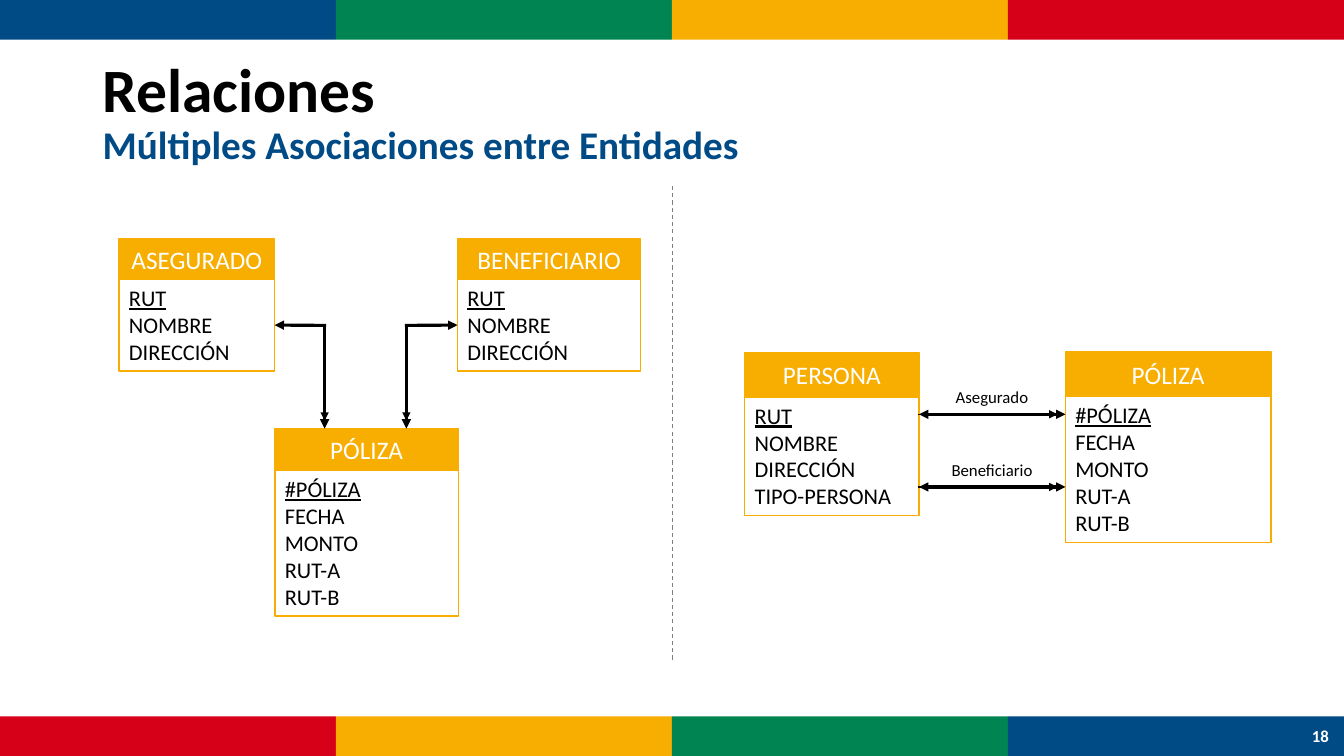
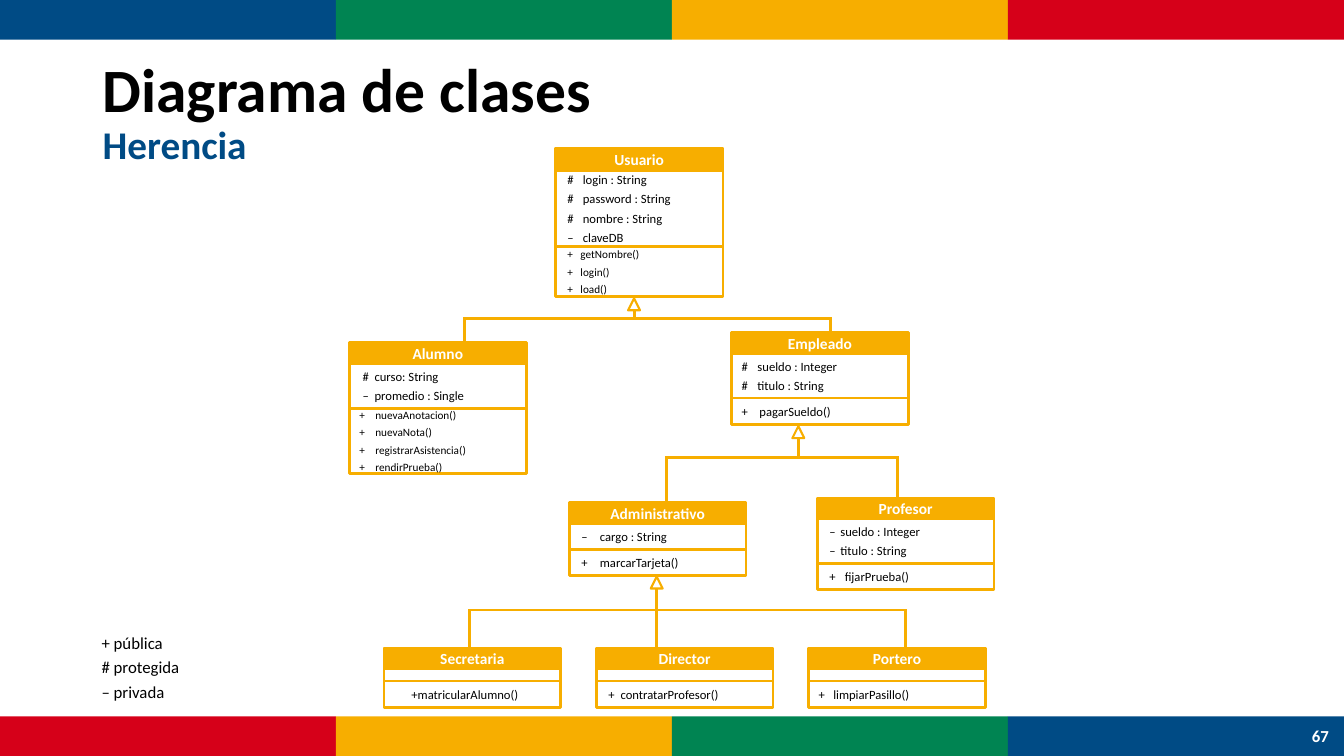
from dataclasses import dataclass

from lxml.etree import SubElement
from pptx import Presentation
from pptx.dml.color import RGBColor
from pptx.enum.dml import MSO_LINE
from pptx.enum.shapes import MSO_CONNECTOR, MSO_SHAPE
from pptx.enum.text import MSO_ANCHOR, PP_ALIGN
from pptx.oxml.ns import qn
from pptx.util import Cm, Pt


@dataclass(frozen=True)
class Theme:
    font: str = "Calibri"
    blue: str = "004B85"
    green: str = "008452"
    yellow: str = "F7AE00"
    red: str = "D60019"
    black: str = "000000"
    white: str = "FFFFFF"
    gray: str = "7F7F7F"
    title: float = 44
    subtitle: float = 28
    entity: float = 18
    field: float = 16
    note: float = 12
    class_name: float = 11
    member: float = 9
    small_member: float = 8


THEME = Theme()
WIDTH, HEIGHT, BAND = 33.87, 19.05, 1.0
CLASS_WIDTH, CLASS_HEAD = 4.45, 0.53


@dataclass(frozen=True)
class Compartment:
    """A class section: where its markers and names start, and its members."""
    height: float
    marker: float = 0
    name: float = 0
    members: tuple = ()
    size: float = THEME.member


def color(value):
    return RGBColor.from_string(value)


def add_span(para, text, size, tint=THEME.black, bold=False, underline=False):
    span = para.add_run()
    span.text = text
    font = span.font
    font.name, font.size, font.bold = THEME.font, Pt(size), bold
    font.underline = underline
    font.color.rgb = color(tint)


def next_para(frame, index, align=PP_ALIGN.LEFT):
    para = frame.add_paragraph() if index else frame.paragraphs[0]
    para.alignment = align
    return para


def add_box(page, left, top, width, height, fill=None, border=None, kind=MSO_SHAPE.RECTANGLE):
    """Add a shape; border is a line width in points."""
    box = page.shapes.add_shape(kind, Cm(left), Cm(top), Cm(width), Cm(height))
    box.shadow.inherit = False
    if fill:
        box.fill.solid()
        box.fill.fore_color.rgb = color(fill)
    else:
        box.fill.background()
    if border:
        box.line.color.rgb = color(THEME.yellow)
        box.line.width = Pt(border)
    else:
        box.line.fill.background()
    box.text_frame.word_wrap = True
    return box


def add_text_box(page, left, top, width, height, anchor=MSO_ANCHOR.TOP):
    frame = page.shapes.add_textbox(Cm(left), Cm(top), Cm(width), Cm(height)).text_frame
    frame.word_wrap = True
    frame.vertical_anchor = anchor
    return frame


def add_line(page, start, end, tint, width, head=False, tail=False):
    line = page.shapes.add_connector(
        MSO_CONNECTOR.STRAIGHT, *(Cm(value) for value in (*start, *end)))
    line.line.color.rgb = color(tint)
    line.line.width = Pt(width)
    properties = line.element.spPr
    outline = properties.find(qn("a:ln"))
    outline.set("cap", "sq")
    for wanted, tag in ((head, "a:headEnd"), (tail, "a:tailEnd")):
        if wanted:
            SubElement(outline, qn(tag)).set("type", "triangle")
    SubElement(properties, qn("a:effectLst"))
    return line


def add_many_arrow(page, start, end, head=False):
    """Draw an arrow with a doubled tip, the sign for many."""
    add_line(page, start, end, THEME.black, 2.25, head=head, tail=True)
    inner = tuple(b - 0.2 * (b > a) for a, b in zip(start, end))
    add_line(page, start, inner, THEME.black, 1, tail=True)


def add_page(deck, title, subtitle, number):
    page = deck.slides.add_slide(deck.slide_layouts[6])
    bands = (THEME.blue, THEME.green, THEME.yellow, THEME.red)
    for top, tints in ((0, bands), (HEIGHT - BAND, bands[::-1])):
        for column, tint in enumerate(tints):
            add_box(page, column * WIDTH / 4, top, WIDTH / 4, BAND, tint)
    frame = add_text_box(page, 2.34, 1.02, 29.2, 3.68, MSO_ANCHOR.MIDDLE)
    para = next_para(frame, 0)
    para.line_spacing = 0.9
    add_span(para, title, THEME.title, bold=True)
    para.add_line_break()
    add_span(para, subtitle, THEME.subtitle, THEME.blue, bold=True)
    frame = add_text_box(page, 32.69, HEIGHT - BAND, 1.17, BAND, MSO_ANCHOR.MIDDLE)
    add_span(next_para(frame, 0, PP_ALIGN.CENTER), number, THEME.note, THEME.white, bold=True)
    return page


def add_header(page, left, top, width, height, text, size, border, bold=False):
    box = add_box(page, left, top, width, height, THEME.yellow, border)
    frame = box.text_frame
    frame.vertical_anchor = MSO_ANCHOR.MIDDLE
    add_span(next_para(frame, 0, PP_ALIGN.CENTER), text, size, THEME.white, bold)


def add_entity(page, left, top, width, head, name, fields):
    """Draw an entity whose first field is the key; return its body."""
    body = add_box(page, left, top + head, width, 0.25 + 0.685 * len(fields), border=1)
    frame = body.text_frame
    frame.vertical_anchor = MSO_ANCHOR.TOP
    for index, field in enumerate(fields):
        add_span(next_para(frame, index), field, THEME.field, underline=index == 0)
    add_header(page, left, top, width, head, name, THEME.entity, 1)
    return body


def add_compartment(page, left, top, width, section):
    box = add_box(page, left, top, width, section.height, border=2)
    frame = box.text_frame
    frame.vertical_anchor = MSO_ANCHOR.MIDDLE
    for index, member in enumerate(section.members):
        para = next_para(frame, index)
        layout = para._p.get_or_add_pPr()
        layout.set("marL", str(Cm(section.name)))
        layout.set("indent", str(Cm(section.marker) - Cm(section.name)))
        if index:
            para.space_before = Pt(3)
        add_span(para, member, section.size)


def add_class(page, left, top, name, *sections, width=CLASS_WIDTH, head=CLASS_HEAD):
    section_top = top + head
    for section in sections:
        add_compartment(page, left, section_top, width, section)
        section_top += section.height
    add_header(page, left, top, width, head, name, THEME.class_name, 2, bold=True)


def add_inheritance(page, tip, rail, drops):
    """Join children at drops (x, y) to the parent triangle at tip by a rail."""
    x, top = tip
    side = 0.3
    ends = [drop[0] for drop in drops]
    add_line(page, (min(ends), rail), (max(ends), rail), THEME.yellow, 2)
    for drop in drops:
        add_line(page, drop, (drop[0], rail), THEME.yellow, 2)
    add_line(page, (x, rail), (x, top + side), THEME.yellow, 2)
    add_box(page, x - side / 2, top, side, side, THEME.white, 1.5,
            MSO_SHAPE.ISOSCELES_TRIANGLE)


def build_relations(deck):
    page = add_page(deck, "Relaciones", "Múltiples Asociaciones entre Entidades", "18")
    divider = add_line(page, (16.94, 4.7), (16.94, 16.66), THEME.gray, 0.75)
    divider.line.dash_style = MSO_LINE.DASH

    person = ("RUT", "NOMBRE", "DIRECCIÓN")
    policy = ("#PÓLIZA", "FECHA", "MONTO", "RUT-A", "RUT-B")
    insured = add_entity(page, 3, 6.02, 3.92, 1.02, "ASEGURADO", person)
    beneficiary = add_entity(page, 11.53, 6.02, 4.62, 1.02, "BENEFICIARIO", person)
    add_entity(page, 6.93, 10.8, 4.62, 1.05, "PÓLIZA", policy)
    for body, side, edge, x in ((insured, 3, 6.92, 8.18), (beneficiary, 1, 11.53, 10.24)):
        middle = 8.2
        link = add_line(page, (x, middle), (edge, middle), THEME.black, 2.25, tail=True)
        link.end_connect(body, side)
        add_many_arrow(page, (x, middle), (x, 10.8))

    add_entity(page, 18.77, 8.89, 4.39, 1.11, "PERSONA", person + ("TIPO-PERSONA",))
    add_entity(page, 26.85, 8.86, 5.18, 1.13, "PÓLIZA", policy)
    for role, y in (("Asegurado", 10.44), ("Beneficiario", 12.27)):
        add_many_arrow(page, (23.16, y), (26.85, y), head=True)
        frame = add_text_box(page, 23.6, y - 0.82, 2.8, 0.76)
        add_span(next_para(frame, 0, PP_ALIGN.CENTER), role, THEME.note)


def build_inheritance(deck):
    page = add_page(deck, "Diagrama de clases", "Herencia", "67")
    frame = add_text_box(page, 2.31, 15.82, 3, 2.01)
    for index, text in enumerate(("+ pública", "# protegida", "– privada")):
        para = next_para(frame, index)
        if index:
            para.space_before = Pt(3)
        add_span(para, text, THEME.note)

    add_class(
        page, 14, 3.73, "Usuario",
        Compartment(1.93, 0.05, 0.44, (
            "#\tlogin : String", "#\tpassword : String", "#\tnombre : String", "–\tclaveDB")),
        Compartment(1.25, 0.05, 0.38, (
            "+\tgetNombre()", "+\tlogin()", "+\tload()"), THEME.small_member),
        width=4.22, head=0.56)
    add_class(
        page, 8.81, 8.64, "Alumno",
        Compartment(1.12, 0.08, 0.38, ("#\tcurso: String", "–\tpromedio : Single")),
        Compartment(1.65, 0, 0.4, (
            "+\tnuevaAnotacion()", "+\tnuevaNota()", "+\tregistrarAsistencia()",
            "+\trendirPrueba()"), THEME.small_member))
    add_class(
        page, 18.44, 8.38, "Empleado",
        Compartment(1.12, 0, 0.4, ("#\tsueldo : Integer", "#\ttitulo : String")),
        Compartment(0.66, 0, 0.45, ("+\tpagarSueldo()",)))
    add_class(
        page, 20.6, 12.55, "Profesor",
        Compartment(1.12, 0.05, 0.33, ("–\tsueldo : Integer", "–\ttitulo : String")),
        Compartment(0.66, 0.05, 0.44, ("+\tfijarPrueba()",)))
    add_class(
        page, 14.35, 12.67, "Administrativo",
        Compartment(0.64, 0.05, 0.52, ("–\tcargo : String",)),
        Compartment(0.66, 0.05, 0.52, ("+\tmarcarTarjeta()",)))

    staff = (
        ("Secretaria", 0.44, 0.44, "+matricularAlumno()"),
        ("Director", 0.05, 0.36, "+\tcontratarProfesor()"),
        ("Portero", 0, 0.37, "+\tlimpiarPasillo()"),
    )
    for column, (name, marker, text_start, operation) in enumerate(staff):
        add_class(page, 9.68 + 5.35 * column, 16.33, name, Compartment(0.3),
                  Compartment(0.66, marker, text_start, (operation,)))

    add_inheritance(page, (15.98, 7.52), 8.03, ((11.71, 8.64), (20.92, 8.38)))
    add_inheritance(page, (20.12, 10.74), 11.53, ((16.79, 12.67), (22.61, 12.55)))
    add_inheritance(page, (16.55, 14.53), 15.37, ((11.84, 16.33), (16.55, 16.33), (22.83, 16.33)))


def main():
    deck = Presentation()
    deck.slide_width, deck.slide_height = Cm(WIDTH), Cm(HEIGHT)
    build_relations(deck)
    build_inheritance(deck)
    deck.save("out.pptx")


if __name__ == "__main__":
    main()
